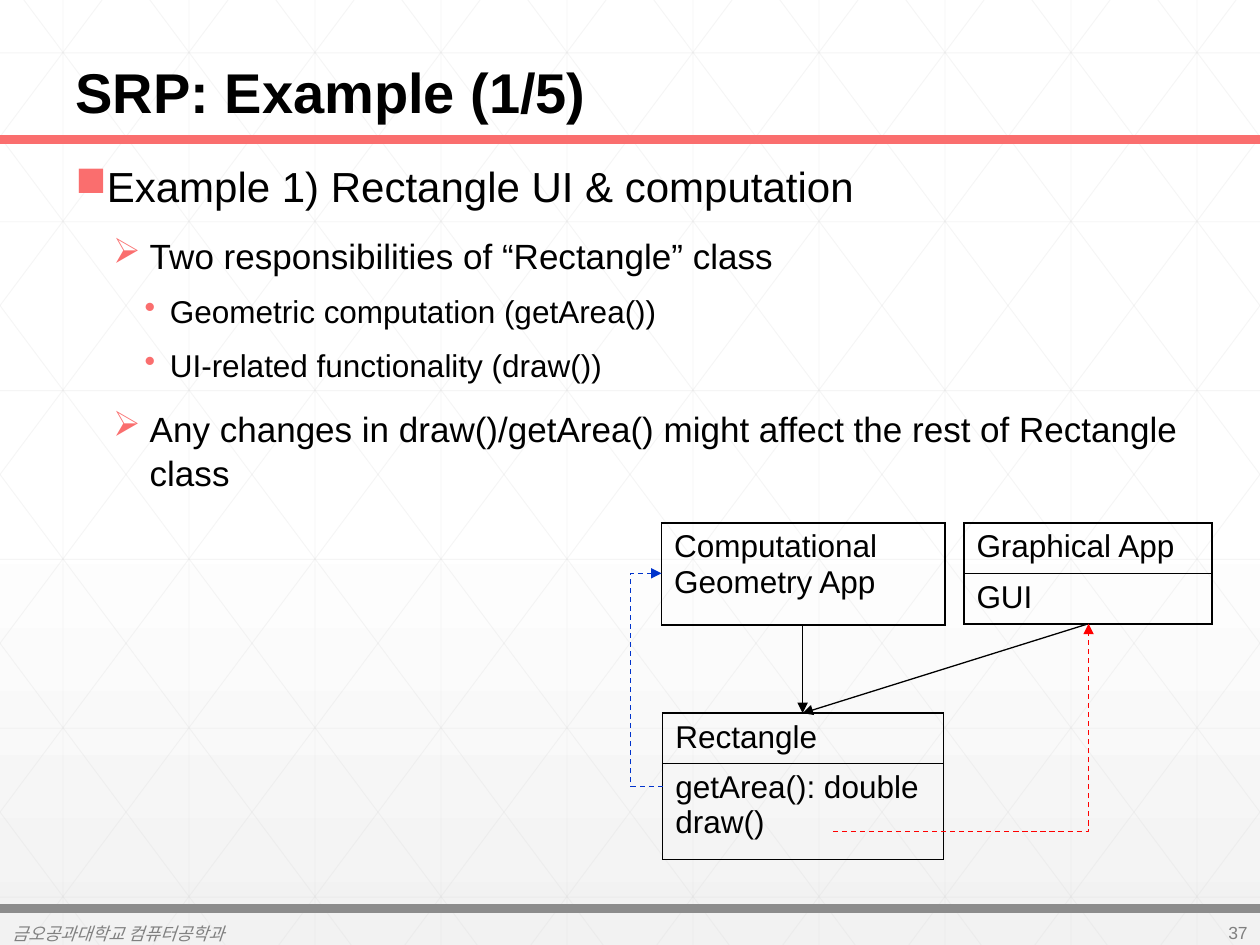
from lxml import etree
from pptx import Presentation
from pptx import util as u
from pptx.dml.color import RGBColor
from pptx.enum import dml, shapes, text
from pptx.oxml.ns import qn

Inches, Pt = u.Inches, u.Pt


def color(value):
    return RGBColor.from_string(value)


def add_line(start, end, stroke, width, kind=shapes.MSO_CONNECTOR.STRAIGHT, dash=None, arrow=False):
    connector = slide.shapes.add_connector(kind, *[Inches(n) for n in (*start, *end)])
    connector.line.color.rgb = color(stroke)
    connector.line.width = Pt(width)
    if dash:
        connector.line.dash_style = dash
    properties = connector._element.spPr
    if arrow:
        etree.SubElement(properties.find(qn("a:ln")), qn("a:tailEnd"), type="triangle")
    etree.SubElement(properties, qn("a:effectLst"))
    return connector


presentation = Presentation()
presentation.slide_width, presentation.slide_height = Inches(10), Inches(7.5)
slide = presentation.slides.add_slide(presentation.slide_layouts[6])

background = slide.background.fill
background.gradient()
background.gradient_angle = 270
for stop, (position, shade) in zip(background.gradient_stops, [(0.53, "FFFFFF"), (1, "F2F2F2")]):
    stop.position = position
    stop.color.rgb = color(shade)

grid = [((x + 0.5, 0), (x + 0.5, 7.5)) for x in range(10)]
grid += [((0, 0.42 + 1.34 * row), (10, 0.42 + 1.34 * row)) for row in range(6)]
slope = 1.34
for step in range(-5, 10):
    origin = step + 0.19
    left, right = max(origin, 0), min(origin + 7.5 / slope, 10)
    top, bottom = (left - origin) * slope, (right - origin) * slope
    grid += [((left, top), (right, bottom)), ((10 - left, top), (10 - right, bottom))]
for start, end in grid:
    grid_line = add_line(start, end, "D9D9D9", 0.5)
    stroke = next(grid_line._element.iter(qn("a:srgbClr")))
    etree.SubElement(stroke, qn("a:alpha"), val="25000")

add_line((0, 1.11), (10, 1.11), "FA6E6E", 5)
add_line((0, 7.21), (10, 7.21), "8C8C8C", 5)

body = slide.shapes.add_textbox(Inches(0.5), Inches(1.27), Inches(9), Inches(5.83)).text_frame
body.word_wrap = True
levels = [
    ("■", 0.25, 0.25, 24, 0, 0.9),
    ("➢", 0.59, 0.29, 20, 12, 1.05),
    ("•", 0.75, 0.2, 18, 8, 1.05),
]
points = [
    (0, "Example 1) Rectangle UI & computation"),
    (1, "Two responsibilities of “Rectangle” class"),
    (2, "Geometric computation (getArea())"),
    (2, "UI-related functionality (draw())"),
    (1, "Any changes in draw()/getArea() might affect the rest of Rectangle class"),
]
for index, (level, wording) in enumerate(points):
    bullet, margin, hanging, size, space, spacing = levels[level]
    paragraph = body.paragraphs[0] if index == 0 else body.add_paragraph()
    paragraph.text = wording
    paragraph.level = level
    paragraph.line_spacing = spacing
    if index:
        paragraph.space_before = Pt(space)
    properties = paragraph._p.get_or_add_pPr()
    properties.set("marL", str(Inches(margin)))
    properties.set("indent", str(-Inches(hanging)))
    bullet_color = etree.SubElement(properties, qn("a:buClr"))
    etree.SubElement(bullet_color, qn("a:srgbClr"), val="FA6E6E")
    etree.SubElement(properties, qn("a:buChar"), char=bullet)
    paragraph.font.name = "Arial"
    paragraph.font.size = Pt(size)
    paragraph.font.color.rgb = color("000000")

middle, bottom = text.MSO_ANCHOR.MIDDLE, text.MSO_ANCHOR.BOTTOM
left, right = text.PP_ALIGN.LEFT, text.PP_ALIGN.RIGHT
labels = [
    ("SRP: Example (1/5)", (0.5, 0, 9, 1.05), 32, "000000", True, False, bottom, left, 0.9),
    ("금오공과대학교 컴퓨터공학과", (0, 7.29, 5.03, 0.24), 10, "808080", False, True, middle, left, 1.0),
    ("37", (9.25, 7.28, 0.75, 0.24), 10, "808080", False, False, middle, right, 1.0),
]
for wording, box, size, ink, bold, italic, anchor, alignment, spacing in labels:
    frame = slide.shapes.add_textbox(*[Inches(n) for n in box]).text_frame
    frame.word_wrap = True
    frame.vertical_anchor = anchor
    paragraph = frame.paragraphs[0]
    paragraph.text = wording
    paragraph.alignment = alignment
    paragraph.line_spacing = spacing
    paragraph.font.name = "Arial"
    paragraph.font.size = Pt(size)
    paragraph.font.bold = bold
    paragraph.font.italic = italic
    paragraph.font.color.rgb = color(ink)

classes = [
    (5.25, 4.15, 2.25, [("Computational Geometry App", 0.81)]),
    (7.65, 4.15, 1.97, [("Graphical App", 0.38), ("GUI", 0.38)]),
    (5.26, 5.66, 2.23, [("Rectangle", 0.38), ("getArea(): double\ndraw()", 0.76)]),
]
for x, y, width, rows in classes:
    height = sum(row_height for _, row_height in rows)
    table = slide.shapes.add_table(
        len(rows), 1, Inches(x), Inches(y), Inches(width), Inches(height)).table
    table.first_row = table.horz_banding = False
    for index, (wording, row_height) in enumerate(rows):
        table.rows[index].height = Inches(row_height)
        cell = table.cell(index, 0)
        cell.text = wording
        for paragraph in cell.text_frame.paragraphs:
            paragraph.font.name = "Arial"
            paragraph.font.size = Pt(18)
            paragraph.font.color.rgb = color("000000")
        properties = cell._tc.get_or_add_tcPr()
        for side in ("lnL", "lnR", "lnT", "lnB"):
            border = etree.SubElement(properties, qn("a:" + side), w=str(Pt(1)))
            solid = etree.SubElement(border, qn("a:solidFill"))
            etree.SubElement(solid, qn("a:srgbClr"), val="000000")
        cell.fill.background()

add_line((6.37, 4.96), (6.37, 5.66), "000000", 0.75, arrow=True)
add_line((8.64, 4.95), (6.37, 5.66), "000000", 0.75, arrow=True)

elbow, dashed = shapes.MSO_CONNECTOR.ELBOW, dml.MSO_LINE.DASH
draw_link = add_line((6.61, 6.6), (8.64, 4.95), "FF0000", 0.75, elbow, dashed, True)
draw_link._element.spPr.find(qn("a:prstGeom")).set("prst", "bentConnector2")

area_link = add_line((5.25, 4.55), (5.26, 6.24), "0033CC", 0.75, elbow, dashed, True)
area_link._element.spPr.find(qn("a:xfrm")).set("rot", "10800000")
geometry = area_link._element.spPr.find(qn("a:prstGeom"))
adjustments = geometry.find(qn("a:avLst"))
if adjustments is None:
    adjustments = etree.SubElement(geometry, qn("a:avLst"))
etree.SubElement(adjustments, qn("a:gd"), name="adj1", fmla="val 2600000")

presentation.save("out.pptx")
